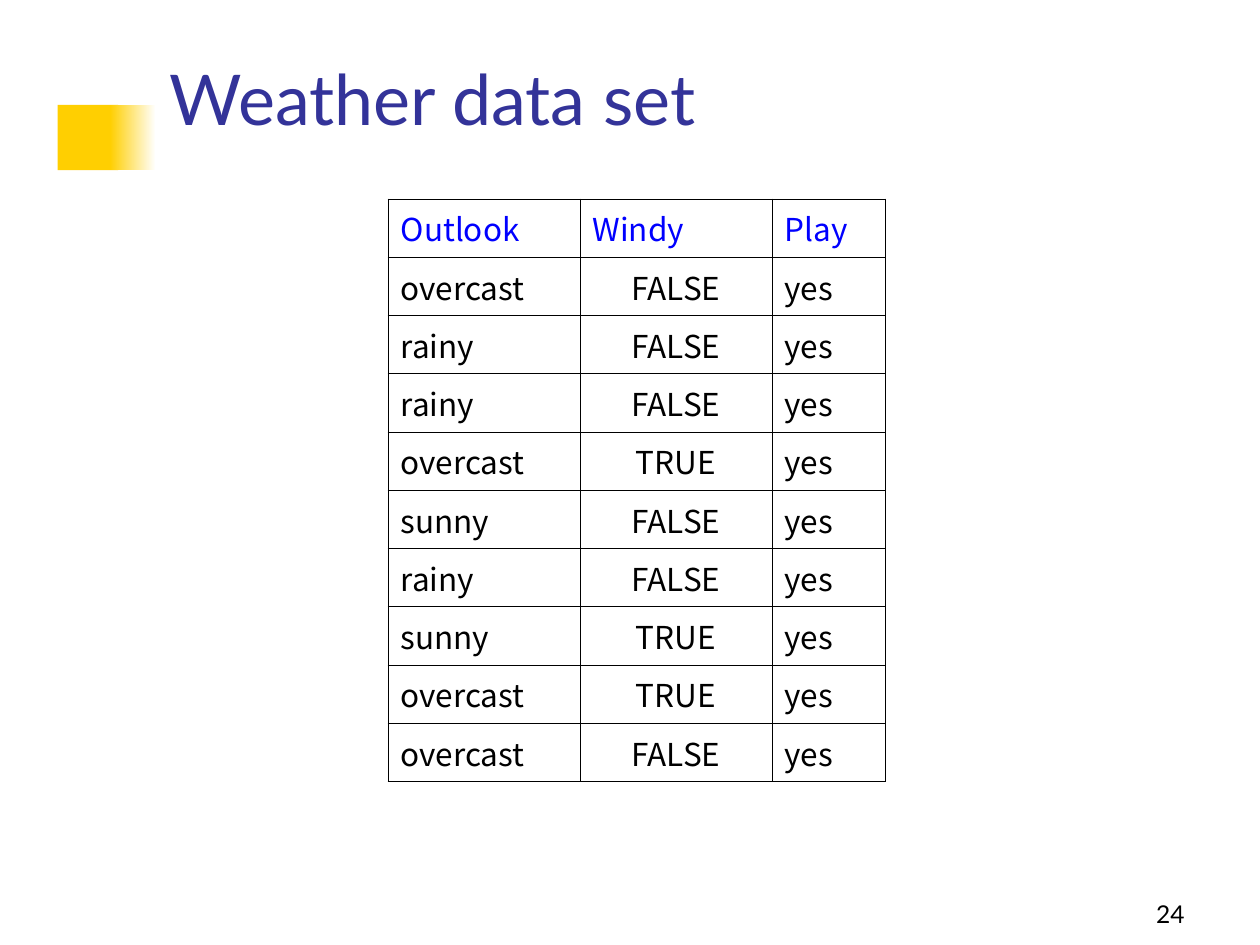
from lxml.etree import SubElement
from pptx import Presentation
from pptx.dml.color import RGBColor
from pptx.enum.shapes import MSO_SHAPE as Shape
from pptx.enum.text import MSO_ANCHOR as Anchor, PP_ALIGN as Align
from pptx.oxml.ns import qn
from pptx.util import Pt

TITLE_FONT = "Lato"
TABLE_FONT = "Noto Sans CJK TC"
YELLOW, WHITE, BLACK = "FFCF01", "FFFFFF", "000000"
NAVY, BLUE = "333399", "0000FF"

HEADINGS = ("Outlook", "Windy", "Play")
WEATHER = (
    ("overcast", "FALSE"),
    ("rainy", "FALSE"),
    ("rainy", "FALSE"),
    ("overcast", "TRUE"),
    ("sunny", "FALSE"),
    ("rainy", "FALSE"),
    ("sunny", "TRUE"),
    ("overcast", "TRUE"),
    ("overcast", "FALSE"),
)
COLUMN_WIDTHS = (109.7, 109.7, 65.1)
ROW_HEIGHT = 33.3
HANGING_INDENT = Pt(27)


def color(hex_string):
    return RGBColor.from_string(hex_string)


def format_paragraph(paragraph, font_name, size, hex_color, align):
    paragraph.alignment = align
    for run in paragraph.runs:
        run.font.name = font_name
        run.font.size = Pt(size)
        run.font.color.rgb = color(hex_color)


def add_text(slide, text, left, top, width, height, size, hex_color, align):
    box = slide.shapes.add_textbox(Pt(left), Pt(top), Pt(width), Pt(height))
    text_frame = box.text_frame
    text_frame.word_wrap = True
    text_frame.vertical_anchor = Anchor.BOTTOM
    text_frame.text = text
    format_paragraph(text_frame.paragraphs[0], TITLE_FONT, size, hex_color, align)


def add_block(slide, left, top, width, height, fill, fade_to=None):
    block = slide.shapes.add_shape(
        Shape.RECTANGLE, Pt(left), Pt(top), Pt(width), Pt(height))
    block.shadow.inherit = False
    block.line.fill.background()
    if fade_to is None:
        block.fill.solid()
        block.fill.fore_color.rgb = color(fill)
        return
    block.fill.gradient()
    block.fill.gradient_angle = 180
    for stop, hex_color in zip(block.fill.gradient_stops, (fade_to, fill)):
        stop.color.rgb = color(hex_color)


def add_borders(cell, hex_color, width):
    properties = cell._tc.get_or_add_tcPr()
    for side in ("a:lnL", "a:lnR", "a:lnT", "a:lnB"):
        line = SubElement(properties, qn(side), w=str(Pt(width)))
        fill = SubElement(line, qn("a:solidFill"))
        SubElement(fill, qn("a:srgbClr"), val=hex_color)


def fill_cell(cell, text, hex_color, align):
    add_borders(cell, BLACK, 0.45)
    cell.fill.background()
    cell.vertical_anchor = Anchor.MIDDLE
    cell.text_frame.text = text
    paragraph = cell.text_frame.paragraphs[0]
    properties = paragraph._p.get_or_add_pPr()
    properties.set("marL", str(HANGING_INDENT))
    properties.set("indent", str(-HANGING_INDENT))
    format_paragraph(paragraph, TABLE_FONT, 18, hex_color, align)


def add_weather_table(slide, left, top):
    rows = [HEADINGS] + [(outlook, windy, "yes") for outlook, windy in WEATHER]
    table = slide.shapes.add_table(
        len(rows), len(HEADINGS), Pt(left), Pt(top),
        Pt(sum(COLUMN_WIDTHS)), Pt(ROW_HEIGHT * len(rows))).table
    table.first_row = False
    table.horz_banding = False
    for column, width in zip(table.columns, COLUMN_WIDTHS):
        column.width = Pt(width)
    for row_index, row in enumerate(rows):
        is_heading = row_index == 0
        for column_index, text in enumerate(row):
            centered = column_index == 1 and not is_heading
            fill_cell(table.cell(row_index, column_index), text,
                      BLUE if is_heading else BLACK,
                      Align.CENTER if centered else Align.LEFT)


def main():
    presentation = Presentation()
    presentation.slide_width, presentation.slide_height = Pt(720), Pt(540)
    slide = presentation.slides.add_slide(presentation.slide_layouts[6])

    # Yellow marker that fades out towards the title
    add_block(slide, 33, 60, 34.5, 37.2, YELLOW)
    add_block(slide, 63, 60, 26, 37.2, YELLOW, fade_to=WHITE)

    # Title
    add_text(slide, "Weather data set", 90, 24, 613.5, 59, 40, NAVY, Align.LEFT)

    # Weather observations
    add_weather_table(slide, 221.75, 113.75)

    # Slide number
    add_text(slide, "24", 534, 498, 150, 36, 14, BLACK, Align.RIGHT)

    presentation.save("out.pptx")


if __name__ == "__main__":
    main()
